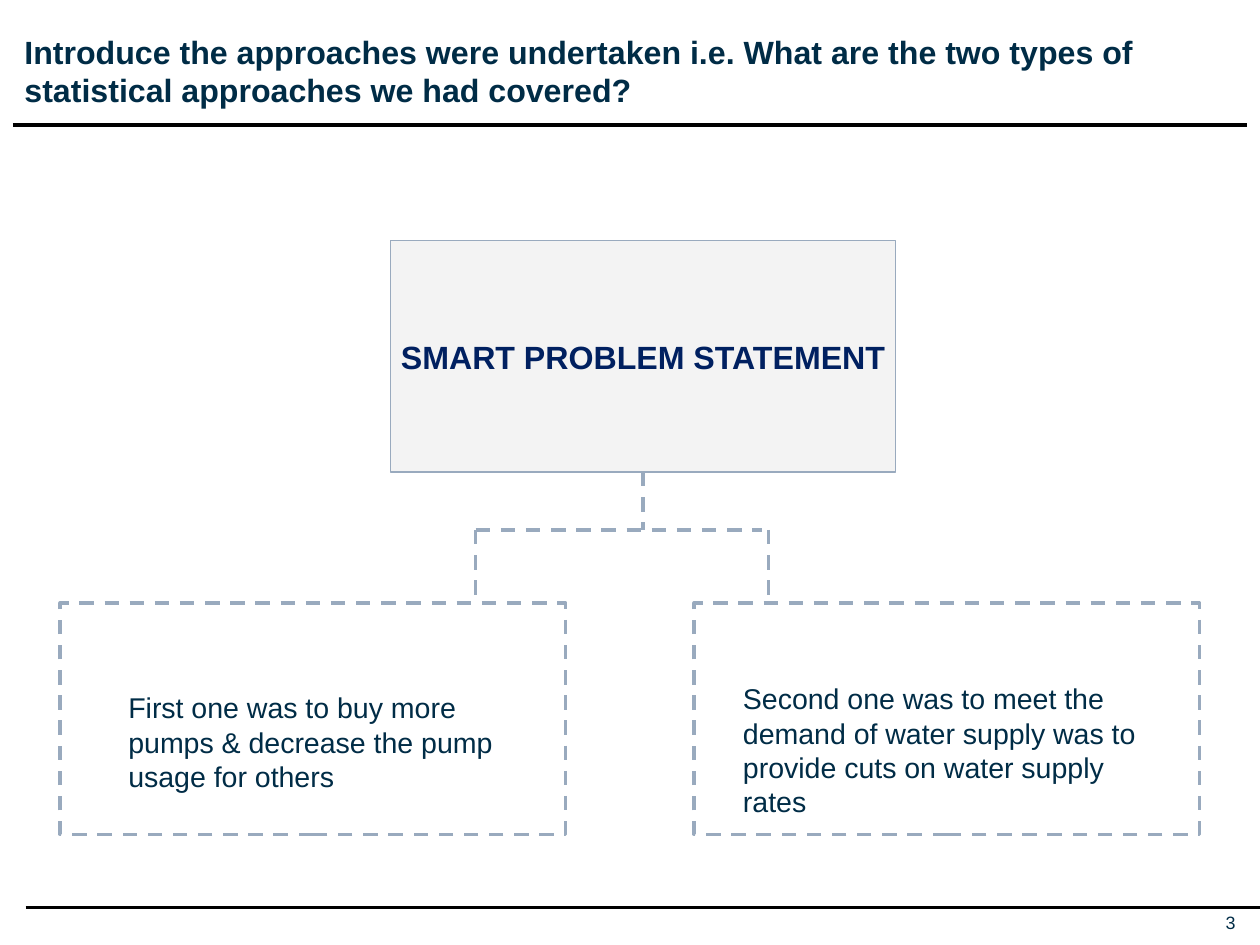
from lxml import etree
from pptx import Presentation
from pptx import util as u
from pptx.dml.color import RGBColor
from pptx.enum import dml, shapes, text
from pptx.oxml.ns import qn

# Content
TITLE = ("Introduce the approaches were undertaken i.e. What are the two types of "
         "statistical approaches we had covered?")
PROBLEM = "SMART PROBLEM STATEMENT"
PAGE_NUMBER = "3"
# Text, box left, text area (left, top, width, height)
APPROACHES = [
    ("First one was to buy more pumps & decrease the pump usage for others",
     33.8, (64.8, 383, 242.6, 65.5)),
    ("Second one was to meet the demand of water supply was to provide cuts on "
     "water supply rates",
     388.8, (409, 378, 242.6, 85)),
]

# Colours and layout, in points
INK, NAVY, STEEL, PALE, BLACK = "002C46", "002060", "99AABE", "F2F2F2", "000000"
WIDTH, HEIGHT = 705.6, 529.2
BOX_WIDTH, BOX_HEIGHT = 283, 129.6
PROBLEM_LEFT, PROBLEM_TOP = 218.7, 134.8
APPROACH_TOP = 337.7
BRANCH_TOP = 296.8
BRANCH_LEFT, BRANCH_END, BRANCH_RIGHT = 266.4, 427, 430.4
STEM = PROBLEM_LEFT + BOX_WIDTH / 2
PROBLEM_BOTTOM = PROBLEM_TOP + BOX_HEIGHT
RULES = [(7.2, 69.9, 698.6, 69.9), (14.4, 508.3, WIDTH, 508.3)]
BRANCHES = [
    (BRANCH_LEFT, BRANCH_TOP, BRANCH_LEFT, APPROACH_TOP),
    (BRANCH_RIGHT, BRANCH_TOP, BRANCH_RIGHT, APPROACH_TOP),
    (BRANCH_LEFT, BRANCH_TOP, BRANCH_END, BRANCH_TOP),
    (STEM, PROBLEM_BOTTOM, STEM, BRANCH_TOP),
]


def colour(value):
    return RGBColor.from_string(value)


def points(*values):
    return [u.Pt(value) for value in values]


def style_line(line, value, width, dashed):
    line.color.rgb = colour(value)
    line.width = u.Pt(width)
    if dashed:
        line.dash_style = dml.MSO_LINE.DASH


def add_line(page, ends, value, dashed=False):
    line = page.shapes.add_connector(shapes.MSO_CONNECTOR.STRAIGHT, *points(*ends))
    style_line(line.line, value, 2, dashed)
    etree.SubElement(line._element.spPr, qn("a:effectLst"))


def add_box(page, left, top, width, dashed=False):
    box = page.shapes.add_shape(shapes.MSO_SHAPE.RECTANGLE,
                                *points(left, top, BOX_WIDTH, BOX_HEIGHT))
    box.shadow.inherit = False
    box.fill.background()
    style_line(box.line, STEEL, width, dashed)
    return box


def write(box, words, size, value=INK, bold=False, align=text.PP_ALIGN.LEFT,
          anchor=text.MSO_ANCHOR.TOP, margins=(0, 0)):
    frame = box.text_frame
    frame.word_wrap = True
    frame.auto_size = text.MSO_AUTO_SIZE.NONE
    frame.vertical_anchor = anchor
    frame.margin_left = frame.margin_right = u.Pt(margins[0])
    frame.margin_top = frame.margin_bottom = u.Pt(margins[1])
    para = frame.paragraphs[0]
    para.alignment = align
    span = para.add_run()
    span.text = words
    span.font.name = "Arial"
    span.font.size = u.Pt(size)
    span.font.bold = bold
    span.font.color.rgb = colour(value)


deck = Presentation()
deck.slide_width, deck.slide_height = points(WIDTH, HEIGHT)
page = deck.slides.add_slide(deck.slide_layouts[5])

# Title, rules and page number
title = page.shapes.title
title.left, title.top, title.width, title.height = points(13.7, 18, 679, 44)
write(title, TITLE, 18, bold=True)
for ends in RULES:
    add_line(page, ends, BLACK)
number = page.shapes.add_textbox(*points(679.7, 510.5, 12.2, 12.2))
write(number, PAGE_NUMBER, 10, align=text.PP_ALIGN.RIGHT,
      anchor=text.MSO_ANCHOR.MIDDLE)

# Problem statement, slightly see-through
problem = add_box(page, PROBLEM_LEFT, PROBLEM_TOP, 0.75)
problem.fill.solid()
problem.fill.fore_color.rgb = colour(PALE)
tint = problem._element.spPr.find(qn("a:solidFill"))[0]
etree.SubElement(tint, qn("a:alpha")).set("val", "85000")
write(problem, PROBLEM, 18, NAVY, bold=True, align=text.PP_ALIGN.CENTER,
      anchor=text.MSO_ANCHOR.MIDDLE)

# Branches and the two approaches
for ends in BRANCHES:
    add_line(page, ends, STEEL, dashed=True)
for words, left, area in APPROACHES:
    add_box(page, left, APPROACH_TOP, 2, dashed=True)
    write(page.shapes.add_textbox(*points(*area)), words, 16, margins=(7.2, 3.6))

deck.save("out.pptx")
